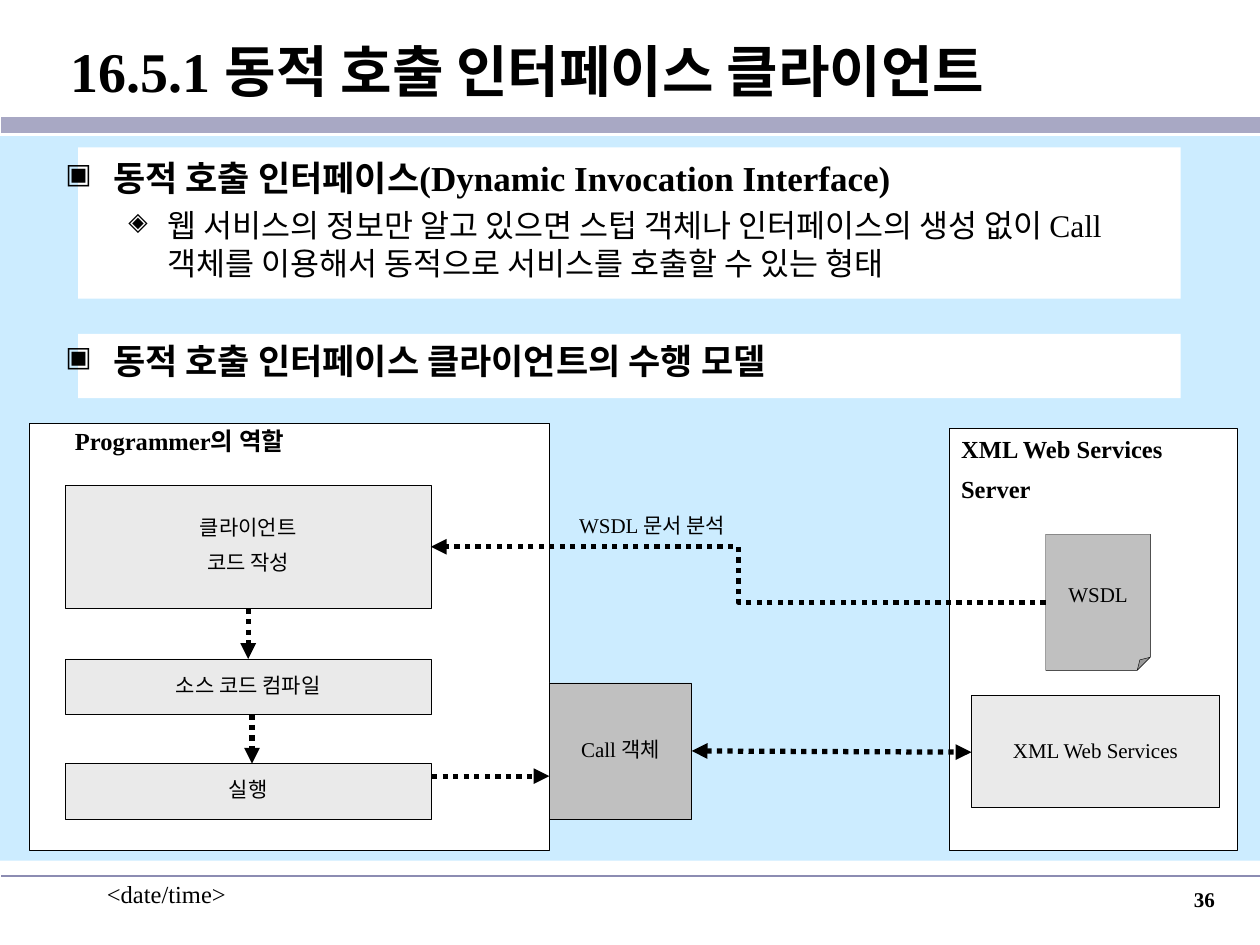
from dataclasses import dataclass
from typing import Optional

from lxml.etree import SubElement
from pptx import Presentation
from pptx.dml.color import RGBColor
from pptx.enum.dml import MSO_LINE as Dash
from pptx.enum.shapes import MSO_CONNECTOR as Link, MSO_SHAPE as Preset
from pptx.enum.text import MSO_ANCHOR as Anchor, PP_ALIGN as Align
from pptx.oxml.ns import qn
from pptx.util import Inches, Pt

FONT = "Times New Roman"
BLACK, WHITE, SKY = "000000", "FFFFFF", "CCECFF"
PALE, GREY = "EAEAEA", "C0C0C0"
COLUMNS = 100  # square grid over the slide, 100 columns by 75 rows


@dataclass
class Area:
    """A place on the grid, in columns and rows."""
    left: float
    top: float
    width: float
    height: float


@dataclass
class Node:
    """A filled rectangle or other preset, with an optional caption."""
    area: Area
    fill: str
    lines: tuple = ()
    outline: Optional[str] = BLACK
    preset: Preset = Preset.RECTANGLE


@dataclass
class Arrow:
    """A dotted arrow between two grid points."""
    start: tuple
    end: tuple
    kind: Link = Link.STRAIGHT
    two_way: bool = False


@dataclass
class Point:
    """A bulleted paragraph; lengths in columns, sizes in points."""
    text: str
    bullet: str
    size: float
    margin: float
    hanging: float
    bold: bool
    before: float = 0


deck = Presentation()
deck.slide_width, deck.slide_height = Inches(10), Inches(7.5)
page = deck.slides.add_slide(deck.slide_layouts[6])


def colour(code: str) -> RGBColor:
    return RGBColor.from_string(code)


def grid(columns: float) -> int:
    return round(deck.slide_width * columns / COLUMNS)


def place(area: Area) -> tuple:
    return tuple(map(grid, (area.left, area.top, area.width, area.height)))


def style_font(font, size: float, bold: bool) -> None:
    font.name, font.size, font.bold = FONT, Pt(size), bold
    font.color.rgb = colour(BLACK)


def write(frame, *lines: str, size: float = 12, bold: bool = False,
          align=Align.CENTER, anchor=Anchor.TOP, wrap: bool = False,
          spacing: float = 0.85, before: float = 7.5, indent: float = 1) -> None:
    """Fill a text frame with one paragraph for each line."""
    frame.word_wrap, frame.vertical_anchor = wrap, anchor
    frame.margin_left = grid(indent)
    for index, line in enumerate(lines):
        para = frame.add_paragraph() if index else frame.paragraphs[0]
        para.alignment, para.line_spacing = align, spacing
        if index:
            para.space_before = Pt(before)
        span = para.add_run()
        span.text = line
        style_font(span.font, size, bold)


def add_label(area: Area, *lines: str, **style) -> None:
    write(page.shapes.add_textbox(*place(area)).text_frame, *lines, **style)


def add_node(node: Node) -> None:
    shape = page.shapes.add_shape(node.preset, *place(node.area))
    shape.shadow.inherit = False
    shape.fill.solid()
    shape.fill.fore_color.rgb = colour(node.fill)
    if node.outline:
        shape.line.color.rgb = colour(node.outline)
        shape.line.width = Pt(0.25)
    else:
        shape.line.fill.background()
    if node.preset == Preset.FOLDED_CORNER:
        guides = shape._element.spPr.find(qn("a:prstGeom")).get_or_add_avLst()
        for guide in list(guides):
            guides.remove(guide)
        SubElement(guides, qn("a:gd"), name="adj", fmla="val 12500")
    if node.lines:
        write(shape.text_frame, *node.lines, anchor=Anchor.MIDDLE)


def add_line(start: tuple, end: tuple, code: str, width: float, kind=Link.STRAIGHT):
    line = page.shapes.add_connector(kind, *map(grid, start + end))
    line.line.color.rgb, line.line.width = colour(code), Pt(width)
    SubElement(line._element.spPr, qn("a:effectLst"))
    return line


def add_arrow(arrow: Arrow) -> None:
    line = add_line(arrow.start, arrow.end, BLACK, 3, arrow.kind)
    line.line.dash_style = Dash.ROUND_DOT
    outline = line.line._get_or_add_ln()
    for tag in ("a:headEnd", "a:tailEnd") if arrow.two_way else ("a:tailEnd",):
        SubElement(outline, qn(tag), type="triangle")


def add_points(area: Area, points: list) -> None:
    frame = page.shapes.add_textbox(*place(area)).text_frame
    frame.word_wrap = True
    for index, point in enumerate(points):
        para = frame.add_paragraph() if index else frame.paragraphs[0]
        props = para._p.get_or_add_pPr()
        props.set("marL", str(grid(point.margin)))
        props.set("indent", str(-grid(point.hanging)))
        tint = SubElement(props, qn("a:buClr"))
        SubElement(tint, qn("a:srgbClr"), val=BLACK)
        SubElement(props, qn("a:buSzPct"), val="80000")
        SubElement(props, qn("a:buChar"), char=point.bullet)
        if point.before:
            para.space_before = Pt(point.before)
        span = para.add_run()
        span.text = point.text
        style_font(span.font, point.size, point.bold)


# Rules above and below the content
add_line((0.1, 9.9), (COLUMNS, 9.9), "A8A8C4", 9.25)
add_line((0.1, 69.5), (COLUMNS, 69.5), "8C8CB2", 1)

# Background and the white bands behind the points
for area, fill in ((Area(0, 10.8, COLUMNS, 57.5), SKY),
                   (Area(6.2, 26.5, 87.5, 5.1), WHITE),
                   (Area(6.2, 11.7, 87.5, 12), WHITE)):
    add_node(Node(area, fill, outline=None))

# Title and points
add_label(Area(0.1, 1.1, 99.9, 9), "16.5.1 동적 호출 인터페이스 클라이언트", size=32, bold=True,
          align=Align.LEFT, anchor=Anchor.MIDDLE, wrap=True, spacing=1, indent=5.5)
add_points(Area(4.2, 11.9, 91.6, 23.4), [
    Point("동적 호출 인터페이스(Dynamic Invocation Interface)", "▣", 20, 3.8, 3.8, True),
    Point("웹 서비스의 정보만 알고 있으면 스텁 객체나 인터페이스의 생성 없이 Call 객체를 "
          "이용해서 동적으로 서비스를 호출할 수 있는 형태", "◈", 18, 8.1, 3.1, False, 4.5),
    Point("동적 호출 인터페이스 클라이언트의 수행 모델", "▣", 20, 3.8, 3.8, True, 33),
])

# Programmer and server panels with their parts
STEP_LEFT, STEP_WIDTH = 5.2, 29
for node in (
    Node(Area(2.3, 33.6, 41.3, 33.9), WHITE),
    Node(Area(STEP_LEFT, 38.5, STEP_WIDTH, 9.8), PALE, ("클라이언트", "코드 작성")),
    Node(Area(STEP_LEFT, 52.3, STEP_WIDTH, 4.4), PALE, ("소스 코드 컴파일",)),
    Node(Area(STEP_LEFT, 60.6, STEP_WIDTH, 4.4), PALE, ("실행",)),
    Node(Area(75.3, 34, 22.9, 33.5), WHITE),
    Node(Area(83, 42.4, 8.3, 10.8), GREY, ("WSDL",), preset=Preset.FOLDED_CORNER),
    Node(Area(77.1, 55.2, 19.7, 8.9), PALE, ("XML Web Services",)),
    Node(Area(43.6, 54.2, 11.3, 10.8), GREY, ("Call 객체",)),
):
    add_node(node)

# Flow between the parts
for arrow in (
    Arrow((20, 56.7), (20, 60.6)),
    Arrow((34.3, 61.6), (43.6, 61.6)),
    Arrow((54.9, 59.6), (77.1, 59.7), two_way=True),
    Arrow((83, 47.8), (34.2, 43.4), Link.ELBOW),
    Arrow((19.7, 48.3), (19.7, 52.3)),
):
    add_arrow(arrow)

# Captions and footer
add_label(Area(4.5, 33.7, 19.5, 3), "Programmer의 역할", size=14, bold=True)
add_label(Area(75.3, 34.3, 18.3, 6.2), "XML Web Services", "Server",
          size=14, bold=True, align=Align.LEFT, before=8.8)
add_label(Area(44.5, 40.5, 14.5, 2.7), "WSDL 문서 분석")
add_label(Area(7.5, 69.3, 20.8, 5), "<date/time>", size=14, align=Align.LEFT, wrap=True, spacing=1)
add_label(Area(76.6, 69.9, 20.8, 5), "36", bold=True, align=Align.RIGHT, wrap=True, spacing=1)

deck.save("out.pptx")
